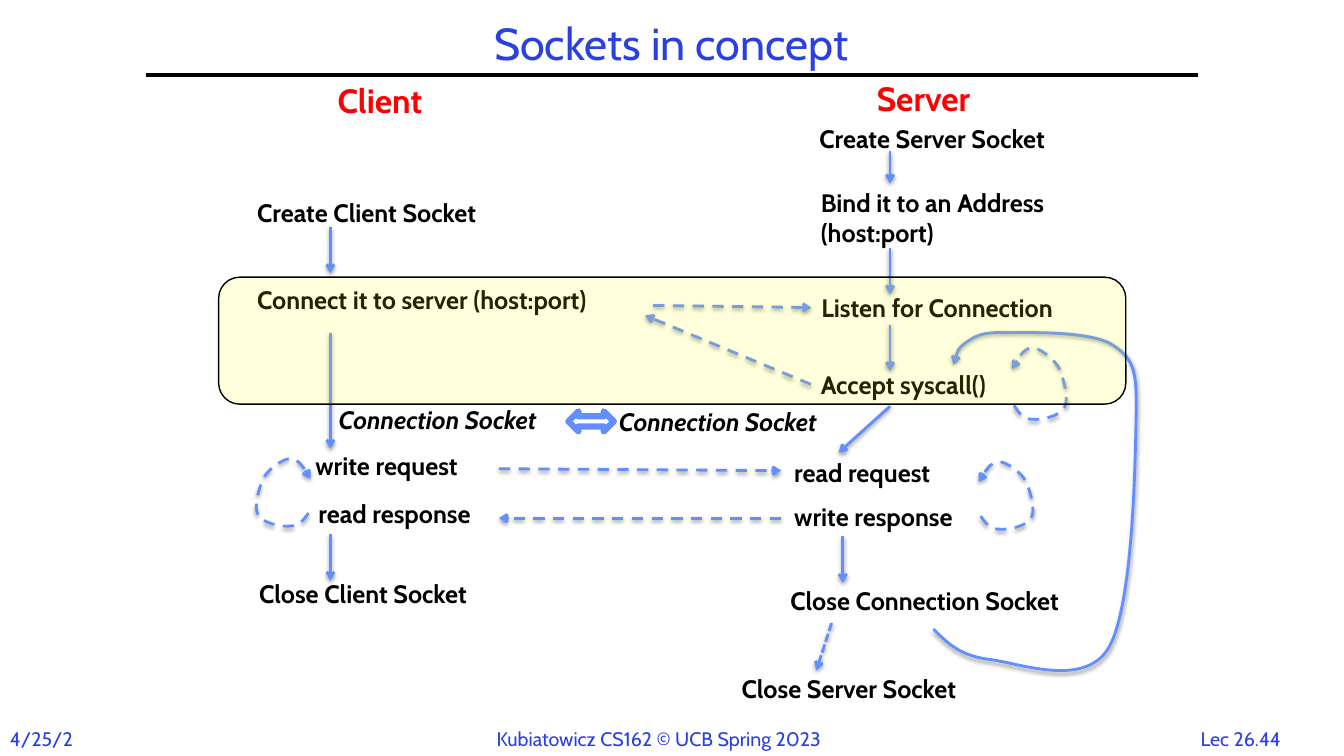
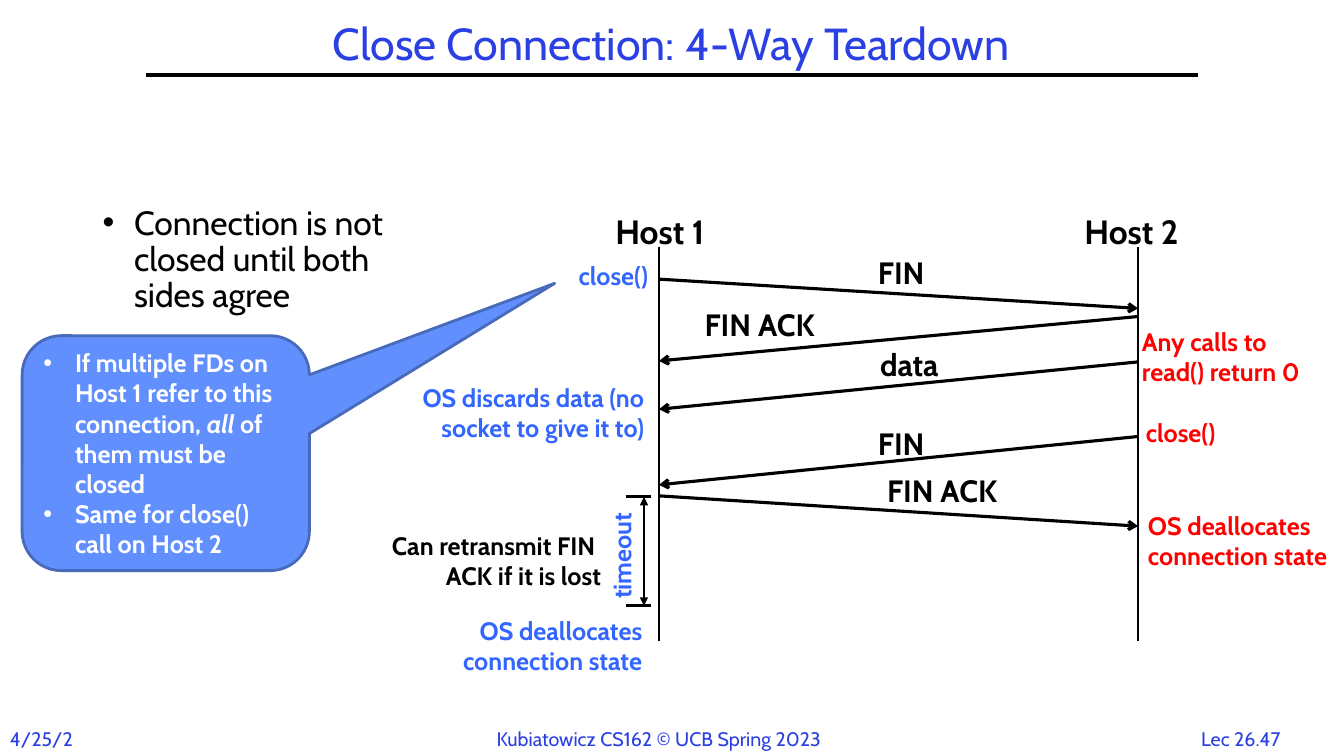
from dataclasses import dataclass, replace

from lxml import etree
from pptx import Presentation
from pptx.dml.color import RGBColor
from pptx.enum.dml import MSO_LINE
from pptx.enum.shapes import MSO_CONNECTOR, MSO_SHAPE
from pptx.enum.text import MSO_ANCHOR, PP_ALIGN
from pptx.oxml.ns import qn
from pptx.util import Pt

STRAIGHT = MSO_CONNECTOR.STRAIGHT
ROUNDED = MSO_SHAPE.ROUNDED_RECTANGLE
CALLOUT = MSO_SHAPE.ROUNDED_RECTANGULAR_CALLOUT
DOUBLE_ARROW = MSO_SHAPE.LEFT_RIGHT_ARROW
DASH, SHORT_DASH = MSO_LINE.DASH, MSO_LINE.SQUARE_DOT
LEFT, CENTER, RIGHT = PP_ALIGN.LEFT, PP_ALIGN.CENTER, PP_ALIGN.RIGHT
MIDDLE = MSO_ANCHOR.MIDDLE
FONT, BULLET_FONT = "Cabin", "Arial"
TITLE_BLUE, LINE_BLUE, HOST_BLUE, EDGE_BLUE = "2A40E2", "618FFD", "3366FF", "486ABB"
BLACK, WHITE, RED, YELLOW = "000000", "FFFFFF", "FF0000", "FFFF00"
LEFT_SIDE = 1
HOST_1, HOST_2 = 470.8, 812.9
CLIENT_X, SERVER_X = 236, 635.8


@dataclass(frozen=True)
class Span:
    text: str
    italic: bool = False


@dataclass(frozen=True)
class Label:
    text: str
    left: float
    top: float
    width: float
    height: float = 29
    size: float = 18
    colour: str = BLACK
    bold: bool = True
    italic: bool = False
    align: PP_ALIGN = LEFT
    rotation: float = 0
    margins: tuple[float, float] = (7.2, 3.6)


@dataclass(frozen=True)
class Stroke:
    colour: str = LINE_BLUE
    width: float = 2
    dash: MSO_LINE | None = None
    head: str = ""
    tail: str = "arrow"
    shadow: bool = True


@dataclass(frozen=True)
class Arrow:
    x1: float
    y1: float
    x2: float
    y2: float
    stroke: Stroke = Stroke()
    begin: str = ""
    end: str = ""


@dataclass(frozen=True)
class Loop:
    x: float
    top: float
    direction: int = 1
    stretch: float = 1


@dataclass(frozen=True)
class Message:
    text: str
    left: float
    top: float
    width: float
    sent: float
    received: float
    from_host_1: bool = False


DASHED = Stroke(dash=DASH)
DOTTED = Stroke(dash=SHORT_DASH)
PLAIN = Stroke(BLACK, 1, tail="", shadow=False)
BRACKET = replace(PLAIN, width=2)
MESSAGE = Stroke(BLACK, 2.25, shadow=False)

SOCKET_LABELS = (
    Label("Client", 234, 53.3, 82, 36, 24, RED),
    Label("Server", 619.2, 51.8, 93.6, 36, 24, RED),
    Label("Create Client Socket", 176.6, 137.5, 191.5),
    Label("Connect it to server (host:port)", 176.6, 199.5, 282.2),
    Label("write request", 218.2, 318.2, 127.4),
    Label("read response", 220.4, 352.1, 137.5),
    Label("Close Client Socket", 178, 409.7, 185),
    Label("Create Server Socket", 578.2, 84.2, 197.3),
    Label("Bind it to an Address\n(host:port)", 579.2, 130.3, 201.6, 51),
    Label("Listen for Connection", 579.6, 205.2, 201.6),
    Label("Accept syscall()", 579.2, 260, 153.4),
    Label("read request", 560.2, 323.3, 127.4),
    Label("write response", 560.2, 354.2, 143.3),
    Label("Close Connection Socket", 557.5, 414.6, 234),
    Label("Close Server Socket", 522.7, 477.4, 194.4),
    Label("Connection Socket", 234.8, 285.1, 179.3, italic=True),
    Label("Connection Socket", 435, 286.4, 179.3, italic=True),
)
SOCKET_ARROWS = (
    Arrow(CLIENT_X, 162, CLIENT_X, 195.1),
    Arrow(CLIENT_X, 237.6, CLIENT_X, 320.4),
    Arrow(CLIENT_X, 381.6, CLIENT_X, 414.7),
    Arrow(SERVER_X, 108, SERVER_X, 131),
    Arrow(SERVER_X, 177.1, SERVER_X, 210.2),
    Arrow(SERVER_X, 231.8, SERVER_X, 265),
    Arrow(SERVER_X, 290.2, 599, 323.3),
    Arrow(602, 383, 602, 416.2),
    Arrow(594, 445, 583.2, 478.8, DOTTED),
    Arrow(466.6, 218.2, 579.6, 219.7, DASHED, end="Listen for Connection"),
    Arrow(579.2, 274.5, 460.8, 225.4, DASHED, begin="Accept syscall()"),
    Arrow(356.4, 334.8, 558, 336.2, DASHED),
    Arrow(558, 370.1, 356.4, 370.1, DASHED),
)
LOOPS = (Loop(699.1, 329.8), Loop(221.8, 327.6, -1), Loop(722.9, 248.4, stretch=1.06))
LOOP_CURVE = (
    (1.4, 38.9), (5, 43.9), (7.9, 48.2), (14.4, 48.2),
    (20.2, 49), (34.6, 46.1), (37.4, 40.3),
    (41, 34.6), (36.7, 20.2), (33.1, 13), (28.8, 6.5), (19.4, 0), (14.4, 0),
    (8.6, 0.7), (4.3, 7.2), (0, 14.4),
)
RETURN_CURVE = (
    (666.7, 449.3), (676.1, 458.6), (684.7, 468), (705.6, 470.9),
    (726.5, 473), (773.3, 491.8), (791.3, 463.7),
    (808.6, 436.3), (810.7, 339.1), (811.4, 303.1),
    (812.2, 267.1), (811.4, 257.8), (795.6, 247),
    (780.5, 236.2), (735.1, 237.6), (717.8, 237.6),
    (699.8, 236.9), (695.5, 241.2), (689.8, 244.8),
    (684, 249.1), (682.6, 254.9), (681.1, 260.6),
)

TEARDOWN_LABELS = (
    Label("Host 1", 427, 147.4, 88.6, 36, 24, align=CENTER),
    Label("Host 2", 764, 147.4, 88.6, 36, 24, align=CENTER),
    Label("close()", 385.9, 182.3, 84.2, colour=HOST_BLUE, align=RIGHT),
    Label("OS discards data (no socket to give it to)", 271.4, 269.2, 195.8, 51,
          colour=HOST_BLUE, align=RIGHT),
    Label("Can retransmit FIN \vACK if it is lost", 254.2, 375.1, 182.2, 51, align=RIGHT),
    Label("timeout", 403.9, 380.2, 80, colour=HOST_BLUE, rotation=270),
    Label("OS deallocates connection state", 280, 435.6, 185.8, 51,
          colour=HOST_BLUE, align=RIGHT),
    Label("Any calls to read() return 0", 808.6, 229.7, 146.9, 51, colour=RED),
    Label("close()", 811.4, 294.5, 73.4, colour=RED),
    Label("OS deallocates connection state", 812.9, 360.7, 146, 94.3, colour=RED),
)
MESSAGES = (
    Message("FIN", 620.6, 177.8, 49, 199.4, 220.3, True),
    Message("FIN ACK", 496.8, 215.3, 102.2, 226.1, 257.8),
    Message("data", 622.1, 243.4, 59, 258.5, 292.3),
    Message("FIN", 620.6, 300.2, 49, 311.8, 346.3),
    Message("FIN ACK", 627.1, 333.4, 102.2, 354.2, 375.8, True),
)
TEARDOWN_LINES = (
    Arrow(HOST_1, 176.4, HOST_1, 457.9, PLAIN),
    Arrow(HOST_2, 176.4, HOST_2, 457.9, PLAIN),
    Arrow(447.1, 354.9, 465.1, 354.9, BRACKET),
    Arrow(447.1, 432.7, 465.1, 432.7, BRACKET),
    Arrow(460, 432.7, 460, 354.9, replace(BRACKET, head="triangle", tail="triangle")),
)


def colour_of(code: str) -> RGBColor:
    return RGBColor.from_string(code)


def add_span(para, span: Span, size: float, colour: str, bold: bool = False) -> None:
    run = para.add_run()
    run.text = span.text
    font = run.font
    font.name, font.size, font.bold, font.italic = FONT, Pt(size), bold, span.italic
    font.color.rgb = colour_of(colour)


def add_bullet(para) -> None:
    properties = para._p.get_or_add_pPr()
    properties.set("marL", str(Pt(22.5)))
    properties.set("indent", str(-Pt(22.5)))
    etree.SubElement(properties, qn("a:buFont")).set("typeface", BULLET_FONT)
    etree.SubElement(properties, qn("a:buChar")).set("char", "•")


def add_label(page, label: Label):
    box = page.shapes.add_textbox(*map(Pt, (label.left, label.top, label.width, label.height)))
    box.rotation = label.rotation
    frame = box.text_frame
    frame.word_wrap = True
    frame.margin_left = frame.margin_right = Pt(label.margins[0])
    frame.margin_top = frame.margin_bottom = Pt(label.margins[1])
    for index, text in enumerate(label.text.split("\n")):
        para = frame.add_paragraph() if index else frame.paragraphs[0]
        para.alignment = label.align
        for row, line in enumerate(text.split("\v")):
            if row:
                para.add_line_break()
            add_span(para, Span(line, label.italic), label.size, label.colour, label.bold)
    return box


def apply_stroke(shape, stroke: Stroke) -> None:
    line = shape.line
    line.color.rgb = colour_of(stroke.colour)
    line.width = Pt(stroke.width)
    if stroke.dash is not None:
        line.dash_style = stroke.dash
    properties = shape.element.spPr
    outline = properties.find(qn("a:ln"))
    for tag, kind in (("a:headEnd", stroke.head), ("a:tailEnd", stroke.tail)):
        if kind:
            etree.SubElement(outline, qn(tag)).set("type", kind)
    effects = etree.SubElement(properties, qn("a:effectLst"))
    if stroke.shadow:
        shadow = etree.SubElement(effects, qn("a:outerShdw"), blurRad=str(Pt(3.1)),
                                  dist=str(Pt(1.6)), dir="5400000", rotWithShape="0")
        tint = etree.SubElement(shadow, qn("a:srgbClr"), val=BLACK)
        etree.SubElement(tint, qn("a:alpha"), val="38000")


def add_arrow(page, arrow: Arrow, boxes: dict) -> None:
    connector = page.shapes.add_connector(
        STRAIGHT, *map(Pt, (arrow.x1, arrow.y1, arrow.x2, arrow.y2)))
    if arrow.begin:
        connector.begin_connect(boxes[arrow.begin], LEFT_SIDE)
    if arrow.end:
        connector.end_connect(boxes[arrow.end], LEFT_SIDE)
    apply_stroke(connector, arrow.stroke)


def add_curve(page, controls, stroke: Stroke) -> None:
    points = [(Pt(x), Pt(y)) for x, y in controls]
    builder = page.shapes.build_freeform(*points[0])
    builder.add_line_segments(points[3::3], close=False)
    curve = builder.convert_to_shape()
    segments = list(curve.element.spPr.iter(qn("a:lnTo")))
    for index, segment in enumerate(segments):
        bend = etree.Element(qn("a:cubicBezTo"))
        for x, y in points[3 * index + 1:3 * index + 4]:
            etree.SubElement(bend, qn("a:pt"), x=str(x - curve.left), y=str(y - curve.top))
        segment.getparent().replace(segment, bend)
    curve.fill.background()
    apply_stroke(curve, stroke)


def add_block(page, kind, bounds, fill: str, edge: str, width: float):
    block = page.shapes.add_shape(kind, *map(Pt, bounds))
    block.shadow.inherit = False
    block.fill.solid()
    block.fill.fore_color.rgb = colour_of(fill)
    block.line.color.rgb = colour_of(edge)
    block.line.width = Pt(width)
    return block


def add_page(deck, heading: str, number: str):
    page = deck.slides.add_slide(deck.slide_layouts[5])
    title = page.shapes.title
    title.left, title.top, title.width, title.height = map(Pt, (103.7, 12.2, 751.7, 41.8))
    frame = title.text_frame
    frame.vertical_anchor = MIDDLE
    para = frame.paragraphs[0]
    para.alignment, para.line_spacing = CENTER, 0.9
    add_span(para, Span(heading), 32, TITLE_BLUE)
    add_arrow(page, Arrow(104, 53.8, 856, 53.8, replace(PLAIN, width=3)), {})
    for text, left, width, align in (
        ("4/25/2", 0, 61.2, LEFT),
        ("Kubiatowicz CS162 © UCB Spring 2023", 347.6, 265, LEFT),
        (number, 847.4, 77.8, CENTER),
    ):
        add_label(page, Label(text, left, 515.5, width, 24, 14, TITLE_BLUE, False, align=align))
    return page


def draw_sockets(deck) -> None:
    page = add_page(deck, "Sockets in concept", "Lec 26.44")
    boxes = {label.text: add_label(page, label) for label in SOCKET_LABELS}
    for arrow in SOCKET_ARROWS:
        add_arrow(page, arrow, boxes)
    for loop in LOOPS:
        add_curve(page, [(loop.x + loop.direction * x, loop.top + loop.stretch * y)
                         for x, y in LOOP_CURVE], DASHED)
    add_curve(page, RETURN_CURVE, Stroke())
    add_block(page, DOUBLE_ARROW, (406, 293.8, 32.4, 14.4), WHITE, LINE_BLUE, 4.5)
    highlight = add_block(page, ROUNDED, (156.2, 198, 648, 90.7), YELLOW, BLACK, 1)
    tint = highlight.element.spPr.find(qn("a:solidFill")).find(qn("a:srgbClr"))
    etree.SubElement(tint, qn("a:alpha"), val="14000")


def draw_teardown(deck) -> None:
    page = add_page(deck, "Close Connection: 4-Way Teardown", "Lec 26.47")
    body = add_label(page, Label("Connection is not closed until both sides agree",
                                 66.2, 143.8, 224.6, 342.7, 24, bold=False))
    para = body.text_frame.paragraphs[0]
    para.line_spacing = 0.9
    add_bullet(para)
    for line in TEARDOWN_LINES:
        add_arrow(page, line, {})
    for message in MESSAGES:
        start, end = (HOST_1, HOST_2) if message.from_host_1 else (HOST_2, HOST_1)
        add_arrow(page, Arrow(start, message.sent, end, message.received, MESSAGE), {})
        add_label(page, Label(message.text, message.left, message.top, message.width, 33, 22,
                              margins=(6.5, 3.2)))
    for label in TEARDOWN_LABELS:
        add_label(page, label)
    callout = add_block(page, CALLOUT, (15.8, 239.8, 205.2, 167.8), LINE_BLUE, EDGE_BLUE, 2)
    for index, value in enumerate((1.354, -0.723, 0.167)):
        callout.adjustments[index] = value
    frame = callout.text_frame
    frame.word_wrap, frame.vertical_anchor = True, MIDDLE
    notes = (
        (Span("If multiple FDs on Host 1 refer to this connection, "), Span("all", True),
         Span(" of them must be closed")),
        (Span("Same for close() call on Host 2"),),
    )
    for index, spans in enumerate(notes):
        para = frame.add_paragraph() if index else frame.paragraphs[0]
        para.alignment = LEFT
        add_bullet(para)
        for span in spans:
            add_span(para, span, 18, WHITE, True)


def main() -> None:
    deck = Presentation()
    deck.slide_width, deck.slide_height = Pt(960), Pt(540)
    draw_sockets(deck)
    draw_teardown(deck)
    deck.save("out.pptx")


if __name__ == "__main__":
    main()
